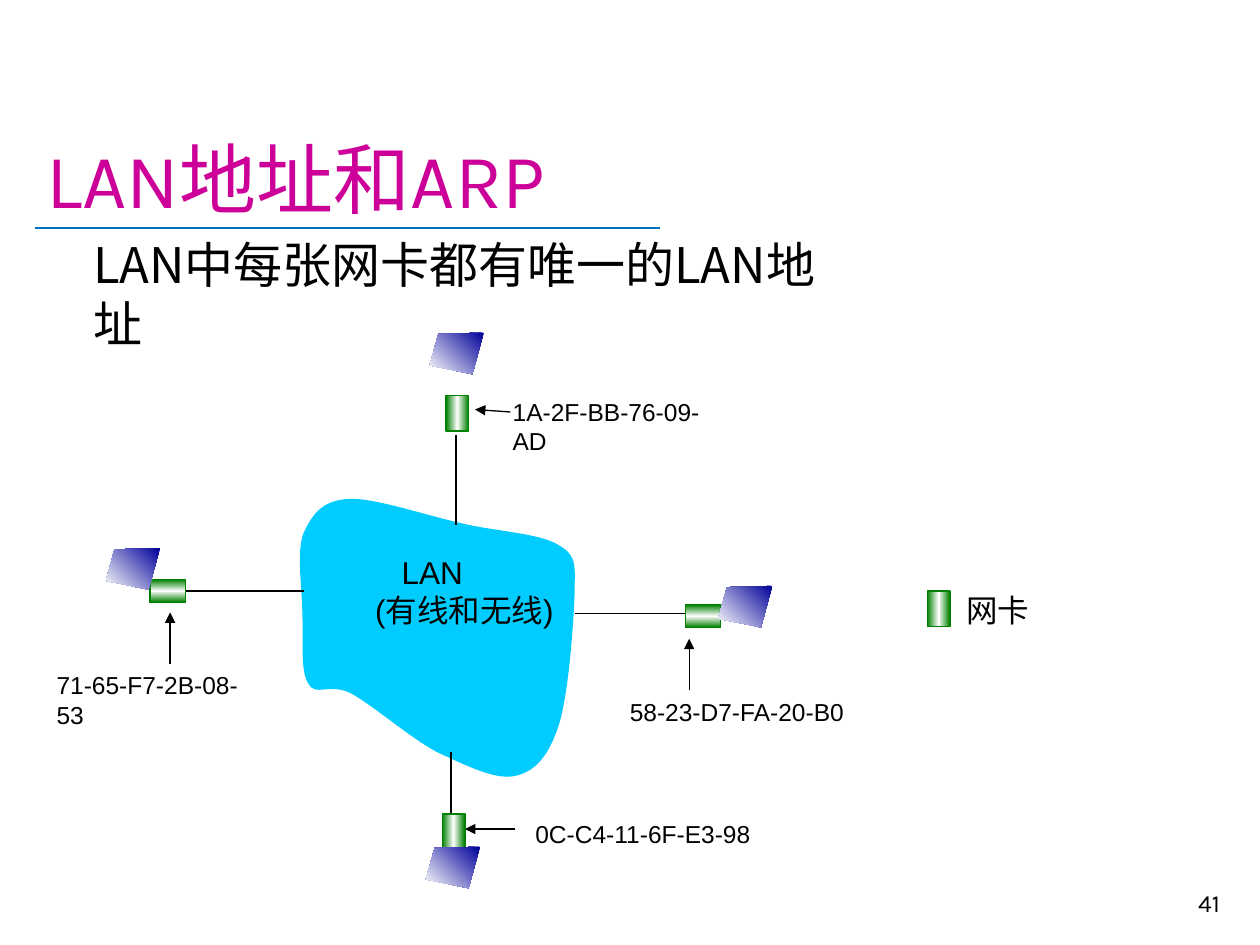
from dataclasses import dataclass

from pptx import Presentation, util as u
from pptx.dml.color import RGBColor
from pptx.enum import shapes as sh, text as t
from pptx.oxml import parse_xml
from pptx.oxml.ns import nsdecls, qn

CJK = "Noto Sans CJK SC"
GREEN = [(0, "008000"), (50, "FFFFFF"), (100, "008000")]
BLUE = [(0, "000099"), (100, "FFFFFF")]
NIC_W, NIC_H = 0.18, 0.28


@dataclass
class Label:
    text: str
    box: tuple
    size: int = 14
    font: str = "Arial"


@dataclass
class Wire:
    start: tuple
    end: tuple
    arrow: bool = False
    color: str = "000000"
    width: float = 0.75


@dataclass
class Host:
    nic: tuple
    screen: tuple
    turn: int = 0


def rgb(code: str) -> RGBColor:
    return RGBColor.from_string(code)


def style(run, size: int, font: str, color: str = "000000") -> None:
    for key, val in {"size": u.Pt(size), "name": font, "bold": False}.items():
        setattr(run.font, key, val)
    run.font.color.rgb = rgb(color)
    east = parse_xml(f'<a:ea {nsdecls("a")} typeface="{CJK}"/>')
    run.font._element.find(qn("a:latin")).addnext(east)


def add_label(slide, item: Label):
    frame = slide.shapes.add_textbox(*map(u.Inches, item.box)).text_frame
    frame.word_wrap = True
    run = frame.paragraphs[0].add_run()
    run.text = item.text
    style(run, item.size, item.font)
    return frame


def add_wire(slide, wire: Wire) -> None:
    line = slide.shapes.add_connector(
        sh.MSO_CONNECTOR.STRAIGHT, *map(u.Inches, wire.start + wire.end))
    line.line.color.rgb = rgb(wire.color)
    line.line.width = u.Pt(wire.width)
    if wire.arrow:
        line.line._get_or_add_ln().append(
            parse_xml(f'<a:tailEnd {nsdecls("a")} type="triangle"/>'))
    line._element.spPr.append(parse_xml(f'<a:effectLst {nsdecls("a")}/>'))


def shade(shape, stops: list, angle: int) -> None:
    marks = "".join(f'<a:gs pos="{pos * 1000}"><a:srgbClr val="{code}"/></a:gs>'
                    for pos, code in stops)
    shape._element.spPr.insert(2, parse_xml(
        f'<a:gradFill {nsdecls("a")} rotWithShape="1"><a:gsLst>{marks}</a:gsLst>'
        f'<a:lin ang="{angle * 60000}" scaled="0"/></a:gradFill>'))


def add_nic(slide, spot: tuple, turn: int = 0) -> None:
    nic = slide.shapes.add_shape(
        sh.MSO_SHAPE.RECTANGLE, *map(u.Inches, spot + (NIC_W, NIC_H)))
    nic.shadow.inherit = False
    nic.rotation = turn
    shade(nic, GREEN, 0)
    nic.line.color.rgb = rgb("008000")
    nic.line.width = u.Pt(0.75)


def add_outline(slide, points: list):
    pts = [(u.Inches(x), u.Inches(y)) for x, y in points]
    pen = slide.shapes.build_freeform(*pts[0])
    pen.add_line_segments(pts[1:], close=True)
    shape = pen.convert_to_shape()
    shape.shadow.inherit = False
    shape.line.fill.background()
    return shape


def add_screen(slide, spot: tuple) -> None:
    corners = [(0.43, 0), (0.07, 0.01), (0, 0.26), (0.34, 0.33)]
    shape = add_outline(slide, [(spot[0] + x, spot[1] + y) for x, y in corners])
    shade(shape, BLUE, 135)


def bend(shape) -> None:
    """Turn each three line segments into one cubic curve."""
    lines = list(shape._element.iter(qn("a:lnTo")))
    for i in range(0, len(lines), 3):
        curve = parse_xml(f'<a:cubicBezTo {nsdecls("a")}/>')
        lines[i].addprevious(curve)
        for line in lines[i:i + 3]:
            curve.append(line[0])
            line.getparent().remove(line)


# Start point, then two handles and an end point for each curve
CLOUD = [
    (2.77, 3.96),
    (2.56, 3.97), (2.48, 4.08), (2.41, 4.23),
    (2.35, 4.38), (2.4, 4.68), (2.4, 4.88),
    (2.41, 5.08), (2.38, 5.33), (2.45, 5.43),
    (2.51, 5.53), (2.61, 5.42), (2.78, 5.5),
    (2.95, 5.59), (3.26, 5.86), (3.47, 5.97),
    (3.69, 6.07), (3.92, 6.19), (4.08, 6.16),
    (4.24, 6.13), (4.35, 6.01), (4.43, 5.77),
    (4.51, 5.54), (4.55, 4.98), (4.56, 4.74),
    (4.56, 4.5), (4.59, 4.42), (4.44, 4.33),
    (4.29, 4.23), (3.93, 4.22), (3.65, 4.15),
    (3.38, 4.09), (2.97, 3.95), (2.77, 3.96),
]
WIRES = [
    Wire((0.28, 1.81), (5.24, 1.81), color="0070C0", width=1.25),
    Wire((1.42, 4.69), (2.41, 4.69)),
    Wire((3.62, 3.45), (3.62, 4.17)),
    Wire((5.44, 4.87), (4.56, 4.87)),
    Wire((3.58, 6.45), (3.58, 5.97)),
    Wire((5.47, 5.48), (5.47, 5.07), True),
    Wire((4.09, 6.58), (3.69, 6.58), True),
    Wire((1.35, 5.27), (1.35, 4.86), True),
    Wire((4.05, 3.27), (3.77, 3.25), True),
]
LABELS = [
    Label("LAN中每张网卡都有唯一的LAN地址", (0.64, 1.81, 6.09, 0.57), 28, CJK),
    Label("网卡", (7.57, 4.64, 0.71, 0.4), 18, CJK),
    Label("58-23-D7-FA-20-B0", (4.9, 5.48, 1.9, 0.33)),
    Label("0C-C4-11-6F-E3-98", (4.15, 6.45, 1.91, 0.33)),
    Label("71-65-F7-2B-08-53", (0.35, 5.27, 1.85, 0.33)),
    Label("1A-2F-BB-76-09-AD", (3.97, 3.1, 1.95, 0.33)),
]
HOSTS = [
    Host((1.24, 4.55), (0.84, 4.35), 270),
    Host((3.51, 6.46), (3.38, 6.72)),
    Host((5.49, 4.75), (5.7, 4.65), 270),
    Host((3.54, 3.14), (3.41, 2.64)),
]


def main() -> None:
    prs = Presentation()
    prs.slide_width, prs.slide_height = u.Inches(10), u.Inches(7.5)
    slide = prs.slides.add_slide(prs.slide_layouts[5])

    # Title
    title = slide.shapes.title
    place = dict(zip(("left", "top", "width", "height"), (0.27, 0.23, 9.51, 1.6)))
    for key, val in place.items():
        setattr(title, key, u.Inches(val))
    frame = title.text_frame
    frame.auto_size = t.MSO_AUTO_SIZE.NONE
    frame.vertical_anchor = t.MSO_ANCHOR.BOTTOM
    frame.text = "LAN地址和ARP"
    frame.paragraphs[0].alignment = t.PP_ALIGN.LEFT
    style(frame.paragraphs[0].runs[0], 44, "Karla", "CC0099")

    # Network cloud, wires and labels
    cloud = add_outline(slide, CLOUD)
    bend(cloud)
    cloud.fill.solid()
    cloud.fill.fore_color.rgb = rgb("00CCFF")
    for wire in WIRES:
        add_wire(slide, wire)
    for item in LABELS:
        add_label(slide, item)

    # Cloud caption
    frame = add_label(slide, Label("LAN", (2.88, 4.34, 1.63, 0.71), 18))
    frame.paragraphs[0]._p.get_or_add_pPr().set("marL", str(u.Inches(0.21)))
    para = frame.add_paragraph()
    for part, font in (("(", "Arial"), ("有线和无线", CJK), (")", "Arial")):
        run = para.add_run()
        run.text = part
        style(run, 18, font)

    # Legend key and hosts
    add_nic(slide, (7.36, 4.69))
    for host in HOSTS:
        add_nic(slide, host.nic, host.turn)
        add_screen(slide, host.screen)

    # Slide number
    frame = add_label(slide, Label("41", (7.7, 6.83, 2.08, 0.5), 14, "Karla"))
    frame.vertical_anchor = t.MSO_ANCHOR.BOTTOM
    frame.paragraphs[0].alignment = t.PP_ALIGN.RIGHT

    prs.save("out.pptx")


if __name__ == "__main__":
    main()
